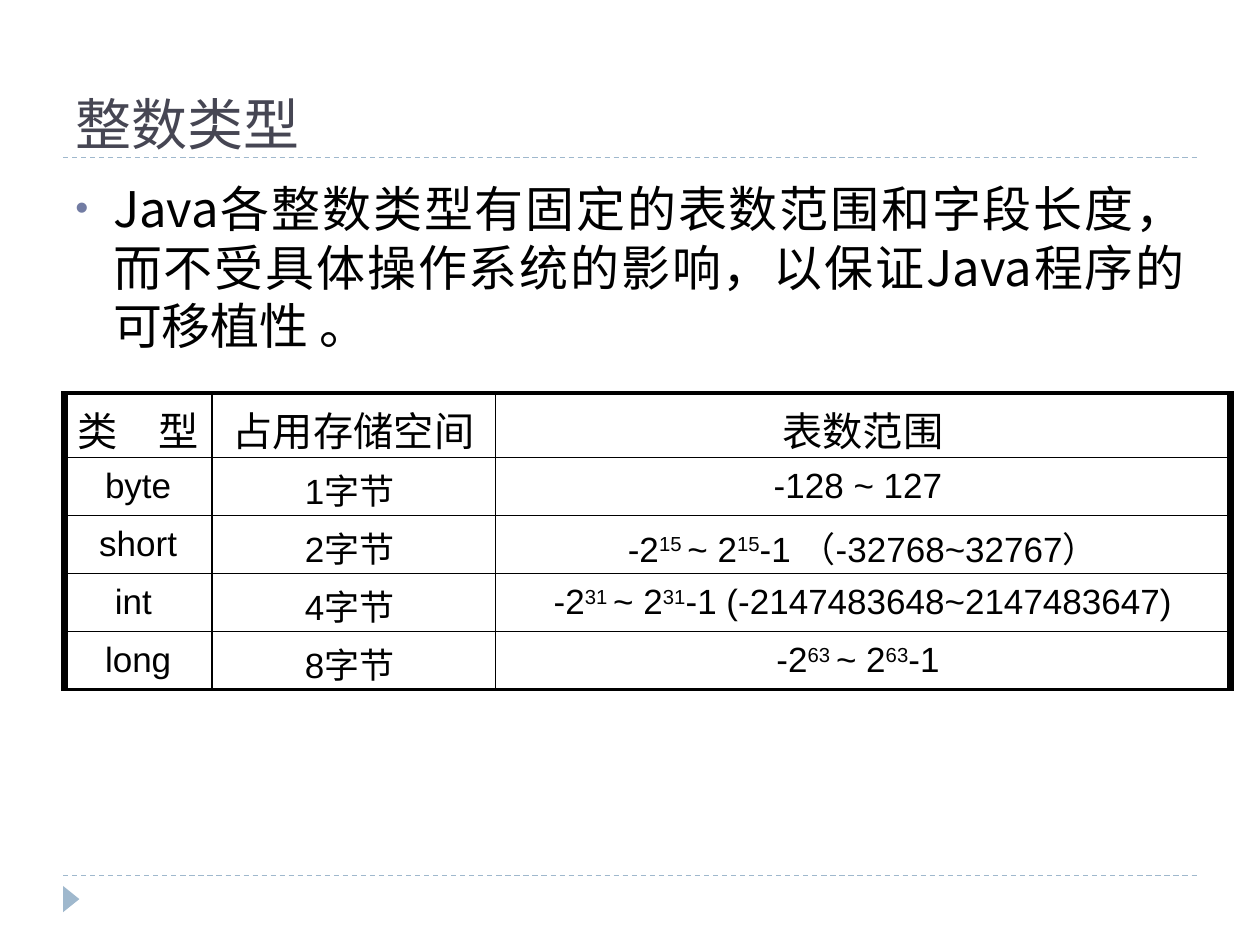
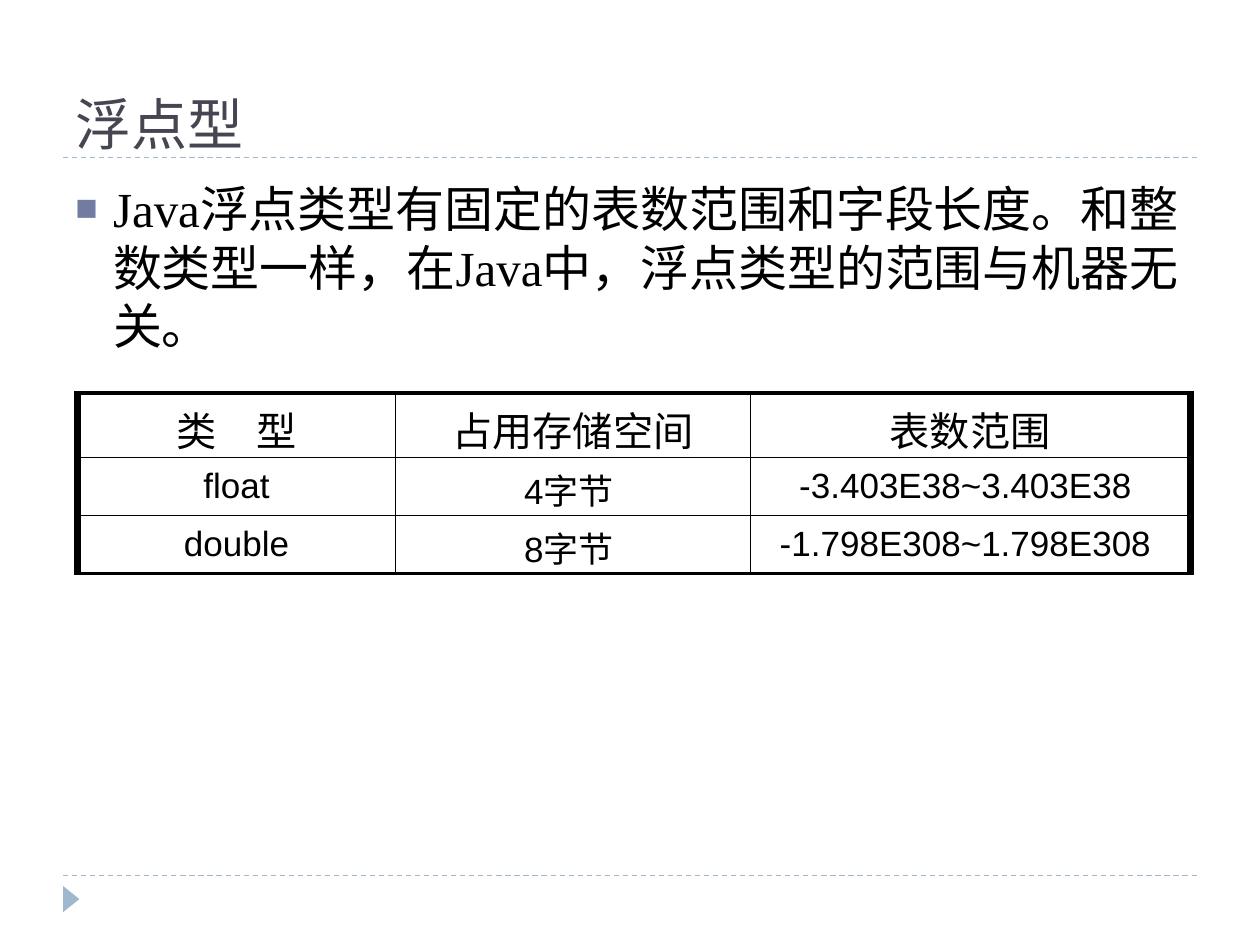
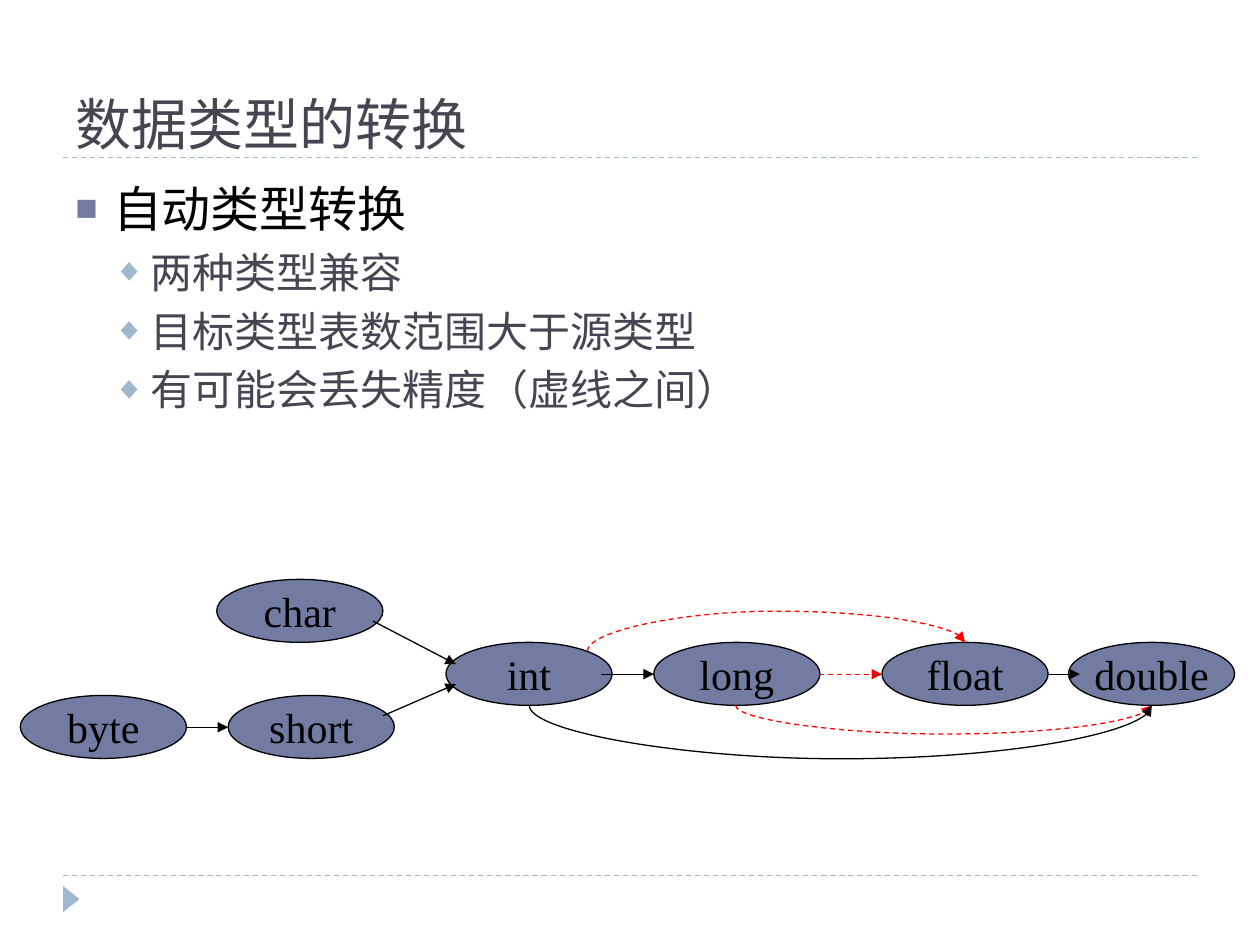
from dataclasses import dataclass

from lxml.etree import SubElement
from pptx import Presentation
from pptx.dml.color import RGBColor
from pptx.enum.dml import MSO_LINE
from pptx.enum.shapes import MSO_CONNECTOR, MSO_SHAPE
from pptx.enum.text import MSO_ANCHOR, PP_ALIGN
from pptx.oxml.ns import qn
from pptx.util import Cm, Emu, Pt


@dataclass(frozen=True)
class Theme:
    ink: str = "000000"
    heading: str = "464653"
    accent: str = "727CA3"
    pale: str = "9FB8CD"
    warning: str = "FF0000"
    title_size: int = 32
    body_size: int = 28
    detail_size: int = 24
    header_size: int = 23
    cell_size: int = 20
    line_height: float = 1.195
    sans: str = "Arial"
    serif: str = "Times New Roman"
    chinese: str = "Noto Sans CJK SC"
    japanese: str = "Noto Sans CJK JP"
    title_serif: str = "Cambria"
    thin: float = 0.75
    inner_border: float = 1
    end_border: float = 2.25
    side_border: float = 4.5


THEME = Theme()
LEFT, RIGHT = 1.27, 24.13
OVAL_WIDTH, OVAL_HEIGHT = 3.35, 1.27

INTEGER_ROWS = [
    ["类　型", "占用存储空间", "表数范围"],
    ["byte", "1字节 ", "-128 ~ 127 "],
    ["short", "2字节 ", "-2^15 ^~ 2^15^-1 （-32768~32767）"],
    ["int ", "4字节 ", "-2^31 ^~ 2^31^-1 (-2147483648~2147483647)"],
    ["long", "8字节 ", "-2^63 ^~ 2^63^-1 "],
]
FLOAT_ROWS = [
    INTEGER_ROWS[0],
    ["float", "4字节 ", "-3.403E38~3.403E38 "],
    ["double", "8字节 ", "-1.798E308~1.798E308 "],
]
TYPE_OVALS = [
    ("byte", 0.41, 14.02), ("short", 4.6, 14.02), ("char", 4.37, 11.68),
    ("int", 8.99, 12.95), ("long", 13.18, 12.95),
    ("float", 17.78, 12.95), ("double", 21.54, 12.95),
]
SAFE_ARROWS = [
    ((3.76, 14.66), (4.6, 14.66)), ((7.52, 12.52), (9.19, 13.39)),
    ((7.72, 14.43), (9.19, 13.79)), ((12.12, 13.59), (13.18, 13.59)),
    ((21.13, 13.59), (21.77, 13.59)),
]


def color(value):
    return RGBColor.from_string(value)


def style_span(span, size, font, tint=THEME.ink, asian=THEME.chinese):
    span.font.size = Pt(size)
    span.font.name = font
    span.font.color.rgb = color(tint)
    SubElement(span._r.get_or_add_rPr(), qn("a:ea"), typeface=asian)


def style_line(line, tint, dashed=False):
    line.color.rgb = color(tint)
    line.width = Pt(THEME.thin)
    if dashed:
        line.dash_style = MSO_LINE.DASH


def add_line(page, start, end, tint, dashed=False, kind=MSO_CONNECTOR.STRAIGHT):
    line = page.shapes.add_connector(kind, *[Cm(value) for value in (*start, *end)])
    style_line(line.line, tint, dashed)
    SubElement(line._element.spPr, qn("a:effectLst"))
    return line


def add_arrow(page, start, end, tint=THEME.ink, dashed=False, kind=MSO_CONNECTOR.STRAIGHT):
    arrow = add_line(page, start, end, tint, dashed, kind)
    SubElement(arrow.line._get_or_add_ln(), qn("a:tailEnd"), type="triangle")
    return arrow


def add_curved_arrow(page, start, end, depth, tint=THEME.ink, dashed=False):
    arrow = add_arrow(page, start, end, tint, dashed, MSO_CONNECTOR.CURVE)
    rises = end[1] < start[1]
    span_x = Cm(end[0] - start[0])
    span_y = max(Cm(abs(end[1] - start[1])), Emu(1588))
    arrow.left = Cm((start[0] + end[0]) / 2) - span_y // 2
    arrow.top = Cm((start[1] + end[1]) / 2) - span_x // 2
    arrow.width, arrow.height = span_y, span_x
    properties = arrow._element.spPr
    frame = properties.find(qn("a:xfrm"))
    for name in ("flipH", "flipV"):
        frame.attrib.pop(name, None)
    frame.set("rot", "16200000")
    if not rises:
        frame.set("flipH", "1")
    guides = properties.find(qn("a:prstGeom")).find(qn("a:avLst"))
    bend = round(Cm(depth) / span_y * 100000)
    SubElement(guides, qn("a:gd"), name="adj1", fmla=f"val {bend}")


def add_text_box(page, top, height):
    box = page.shapes.add_textbox(Cm(LEFT), Cm(top), Cm(RIGHT - LEFT), Cm(height))
    box.text_frame.word_wrap = True
    return box.text_frame


def add_page(deck, title, font=THEME.sans):
    page = deck.slides.add_slide(deck.slide_layouts[6])
    for height in (17.65, 3.18):
        add_line(page, (LEFT, height), (RIGHT, height), THEME.pale, True)
    marker = page.shapes.add_shape(
        MSO_SHAPE.ISOSCELES_TRIANGLE, Cm(1.17), Cm(17.96), Cm(0.53), Cm(0.33))
    marker.rotation = 90
    marker.shadow.inherit = False
    marker.fill.solid()
    marker.fill.fore_color.rgb = color(THEME.pale)
    marker.line.fill.background()
    frame = add_text_box(page, 0.43, 2.74)
    frame.vertical_anchor = MSO_ANCHOR.BOTTOM
    frame.margin_bottom = 0
    frame.text = title
    style_span(frame.paragraphs[0].runs[0], THEME.title_size, font, THEME.heading)
    return page


def add_bullet(para, mark, tint, indent):
    properties = para._p.get_or_add_pPr()
    properties.set("marL", str(Cm(indent)))
    properties.set("indent", str(Cm(-0.76)))
    holder = SubElement(properties, qn("a:buClr"))
    SubElement(holder, qn("a:srgbClr"), val=tint)
    SubElement(properties, qn("a:buSzPct"), val="76000")
    SubElement(properties, qn("a:buFont"), typeface=THEME.sans)
    SubElement(properties, qn("a:buChar"), char=mark)


def add_body(page, lead, details=(), mark="■", font=THEME.serif, asian=THEME.chinese):
    frame = add_text_box(page, 3.38, 13.64)
    frame.margin_top = Cm(0.23)
    frame.text = "\n".join([lead, *details])
    for index, para in enumerate(frame.paragraphs):
        is_lead = index == 0
        size = THEME.body_size if is_lead else THEME.detail_size
        para.line_spacing = Pt(size * THEME.line_height)
        para.space_before = Pt(0 if is_lead else 5)
        if is_lead:
            add_bullet(para, mark, THEME.accent, 0.76)
        else:
            para.level = 1
            add_bullet(para, "◆", THEME.pale, 1.52)
        tint = THEME.ink if is_lead else THEME.heading
        style_span(para.runs[0], size, font, tint, asian)
    return frame


def set_borders(cell, widths):
    properties = cell._tc.get_or_add_tcPr()
    for index, (side, width) in enumerate(widths.items()):
        border = properties.makeelement(qn(f"a:{side}"), {"w": str(Pt(width))})
        fill = SubElement(border, qn("a:solidFill"))
        SubElement(fill, qn("a:srgbClr"), val=THEME.ink)
        properties.insert(index, border)


def fill_cell(cell, text, size):
    cell.vertical_anchor = MSO_ANCHOR.MIDDLE
    cell.fill.background()
    para = cell.text_frame.paragraphs[0]
    para.alignment = PP_ALIGN.CENTER
    for index, part in enumerate(text.split("^")):
        span = para.add_run()
        span.text = part
        style_span(span, size, THEME.sans)
        if index % 2:
            span.font._element.set("baseline", "30000")


def add_type_table(page, left, widths, rows):
    heights = [1.3] + [1.17] * (len(rows) - 1)
    table = page.shapes.add_table(
        len(rows), len(widths), Cm(left), Cm(7.92), Cm(sum(widths)), Cm(sum(heights))).table
    table.first_row = table.horz_banding = False
    for column, width in zip(table.columns, widths):
        column.width = Cm(width)
    last_row, last_column = len(rows) - 1, len(widths) - 1
    inner = THEME.inner_border
    for row, texts in enumerate(rows):
        table.rows[row].height = Cm(heights[row])
        for column, text in enumerate(texts):
            cell = table.cell(row, column)
            fill_cell(cell, text, THEME.cell_size if row else THEME.header_size)
            set_borders(cell, {
                "lnL": inner if column else THEME.side_border,
                "lnR": THEME.side_border if column == last_column else inner,
                "lnT": inner if row else THEME.end_border,
                "lnB": THEME.end_border if row == last_row else inner,
            })


def add_type_oval(page, name, left, top):
    oval = page.shapes.add_shape(
        MSO_SHAPE.OVAL, Cm(left), Cm(top), Cm(OVAL_WIDTH), Cm(OVAL_HEIGHT))
    oval.shadow.inherit = False
    oval.fill.solid()
    oval.fill.fore_color.rgb = color(THEME.accent)
    style_line(oval.line, THEME.ink)
    frame = oval.text_frame
    frame.word_wrap = False
    frame.vertical_anchor = MSO_ANCHOR.MIDDLE
    frame.text = name
    para = frame.paragraphs[0]
    para.alignment = PP_ALIGN.CENTER
    style_span(para.runs[0], THEME.detail_size, THEME.serif)


def build_integer_page(deck):
    page = add_page(deck, "整数类型", THEME.title_serif)
    frame = add_body(
        page,
        "Java各整数类型有固定的表数范围和字段长度，而不受具体操作系统的影响，以保证Java程序的可移植性 。",
        mark="•", font=THEME.japanese, asian=THEME.japanese)
    frame.paragraphs[0].alignment = PP_ALIGN.JUSTIFY
    add_type_table(page, 1.3, [2.97, 5.72, 14.81], INTEGER_ROWS)


def build_float_page(deck):
    page = add_page(deck, "浮点型")
    add_body(
        page,
        "Java浮点类型有固定的表数范围和字段长度。和整数类型一样，在Java中，浮点类型的范围与机器无关。")
    add_type_table(page, 1.57, [6.4, 7.16, 8.86], FLOAT_ROWS)


def build_conversion_page(deck):
    page = add_page(deck, "数据类型的转换")
    add_body(page, "自动类型转换", [
        "两种类型兼容", "目标类型表数范围大于源类型", "有可能会丢失精度（虚线之间）"])
    for name, left, top in TYPE_OVALS:
        add_type_oval(page, name, left, top)
    for start, end in SAFE_ARROWS:
        add_arrow(page, start, end)
    add_arrow(page, (16.51, 13.59), (17.78, 13.59), THEME.warning, True)
    add_curved_arrow(page, (11.84, 13.13), (19.46, 12.95), 0.81, THEME.warning, True)
    add_curved_arrow(page, (14.83, 14.22), (23.22, 14.22), 0.64, THEME.warning, True)
    add_curved_arrow(page, (10.67, 14.22), (23.22, 14.22), 1.19)


def main():
    deck = Presentation()
    deck.slide_width, deck.slide_height = Cm(25.4), Cm(19.05)
    build_integer_page(deck)
    build_float_page(deck)
    build_conversion_page(deck)
    deck.save("out.pptx")


if __name__ == "__main__":
    main()
